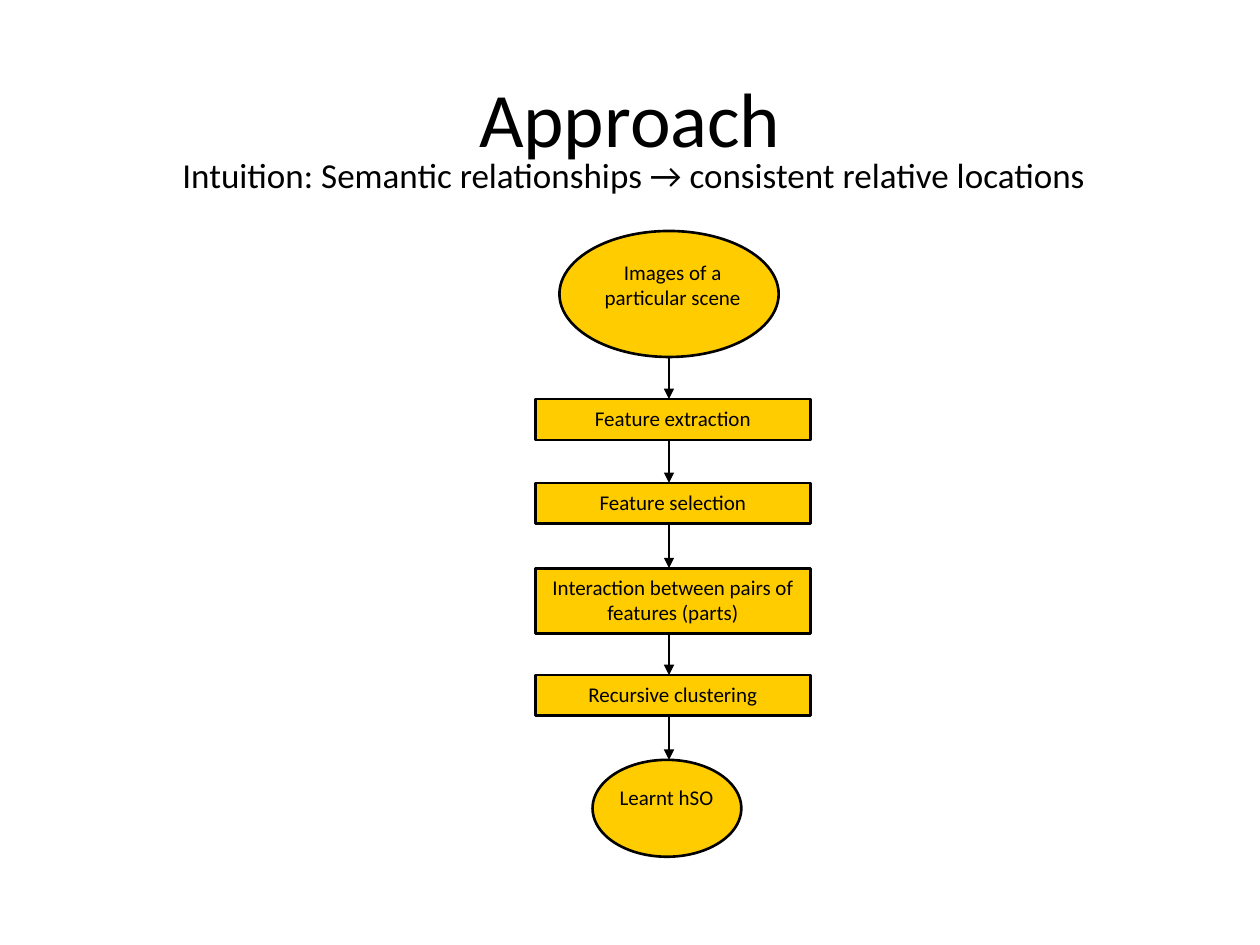
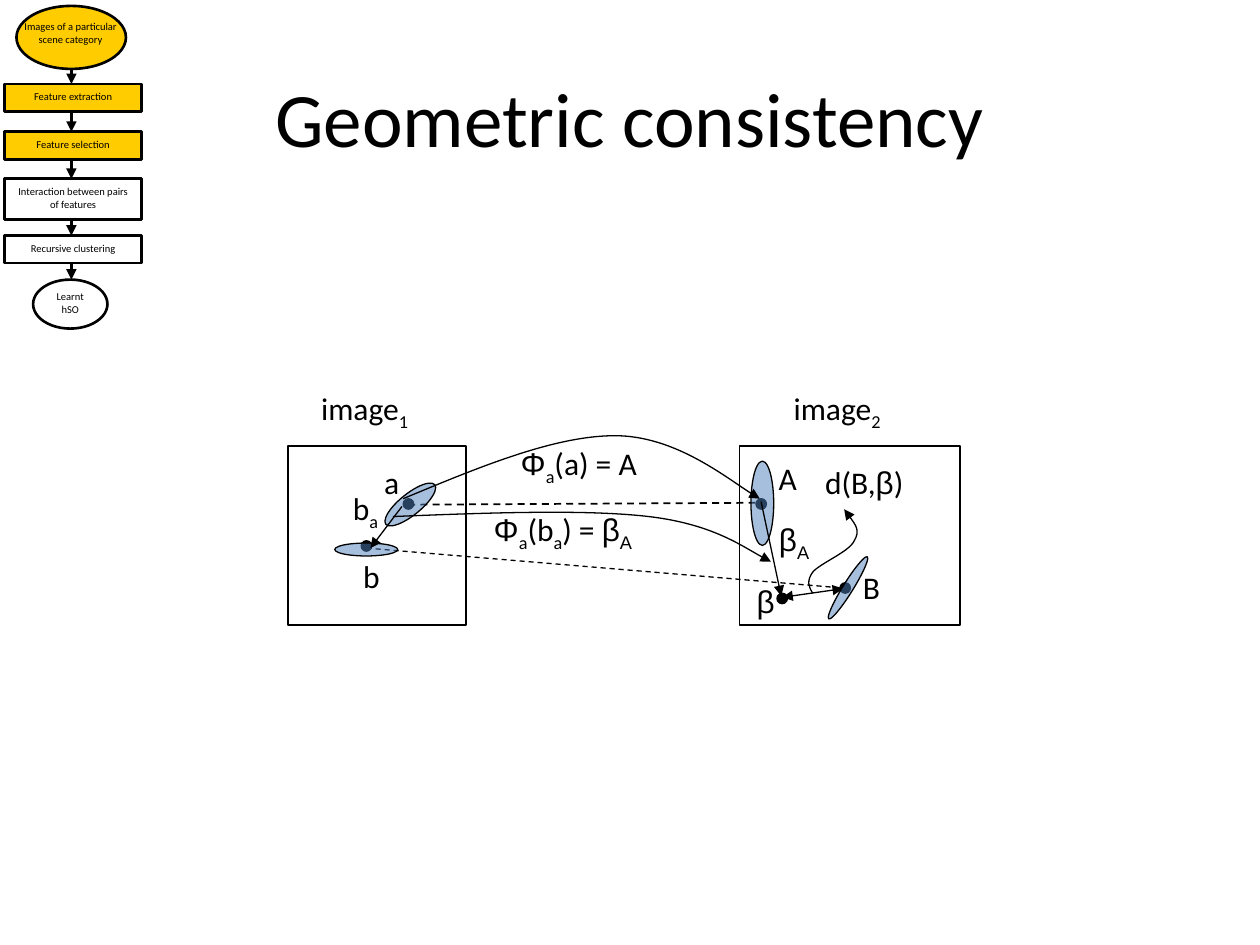
import pptx
import pptx.dml.color
import pptx.enum.dml
import pptx.enum.shapes
import pptx.enum.text
import pptx.oxml.ns
import pptx.util
from lxml import etree

Pt = pptx.util.Pt
qn = pptx.oxml.ns.qn
SHAPES = pptx.enum.shapes.MSO_SHAPE
ALIGN = pptx.enum.text.PP_ALIGN
ANCHOR = pptx.enum.text.MSO_ANCHOR

BLACK = pptx.dml.color.RGBColor(0x00, 0x00, 0x00)
AMBER = pptx.dml.color.RGBColor(0xFF, 0xCC, 0x00)
BLUE = pptx.dml.color.RGBColor(0x4F, 0x81, 0xBD)

BODY_FONT = "Calibri"
GREEK_FONT = "Arial"
GREEK = "ΦβΑ"


def write(frame, text, size=18, align=ALIGN.LEFT, anchor=ANCHOR.TOP):
    """Runs are split by "|"; a run that starts with "_" is a subscript."""
    frame.word_wrap = True
    frame.vertical_anchor = anchor
    paragraph = frame.paragraphs[0]
    paragraph.alignment = align
    for piece in text.split("|"):
        run = paragraph.add_run()
        run.text = piece.lstrip("_")
        run.font.size = Pt(size)
        run.font.color.rgb = BLACK
        run.font.name = GREEK_FONT if run.text[0] in GREEK else BODY_FONT
        if piece.startswith("_"):
            run.font._element.set("baseline", "-25000")


def label(slide, text, box, **text_format):
    write(slide.shapes.add_textbox(*map(Pt, box)).text_frame, text, **text_format)


def title(slide, text):
    label(slide, text, (36, 21.6, 648, 90), size=44,
          align=ALIGN.CENTER, anchor=ANCHOR.MIDDLE)


def outline(line, width):
    line.color.rgb = BLACK
    line.width = Pt(width)


def add_arrowheads(line, *ends):
    for end in ends:
        etree.SubElement(line._get_or_add_ln(), qn("a:" + end), type="triangle")


def figure(slide, kind, box, fill=None, width=0.75, rotation=0, alpha=None):
    shape = slide.shapes.add_shape(kind, *map(Pt, box))
    shape.shadow.inherit = False
    shape.rotation = rotation
    outline(shape.line, width)
    if fill is None:
        shape.fill.background()
    else:
        shape.fill.solid()
        shape.fill.fore_color.rgb = fill
    if alpha:
        color = shape._element.spPr.find(qn("a:solidFill"))[0]
        etree.SubElement(color, qn("a:alpha"), val=str(alpha * 1000))
    return shape


def straight(slide, start, end, width=0.75, dashed=False, ends=()):
    connector = slide.shapes.add_connector(
        pptx.enum.shapes.MSO_CONNECTOR.STRAIGHT, *map(Pt, start + end))
    outline(connector.line, width)
    if dashed:
        connector.line.dash_style = pptx.enum.dml.MSO_LINE.DASH
    add_arrowheads(connector.line, *ends)
    etree.SubElement(connector._element.spPr, qn("a:effectLst"))


def curved_arrow(slide, start, *controls):
    builder = slide.shapes.build_freeform(*map(Pt, start))
    builder.add_line_segments([(Pt(x), Pt(y)) for x, y in controls], close=False)
    curve = builder.convert_to_shape()
    curve.shadow.inherit = False
    curve.fill.background()
    outline(curve.line, 0.75)
    add_arrowheads(curve.line, "tailEnd")
    route = curve._element.find(".//" + qn("a:path"))
    segments = route.findall(qn("a:lnTo"))
    for first in range(0, len(segments), 3):
        bezier = etree.SubElement(route, qn("a:cubicBezTo"))
        for segment in segments[first:first + 3]:
            bezier.append(segment[0])
            route.remove(segment)


def flow(slide, left, width, arrow_x, size, steps, start, end):
    for text, oval, text_box, fill in (start, end):
        figure(slide, SHAPES.OVAL, oval, fill, width=1.5)
        label(slide, text, text_box, size=size, align=ALIGN.CENTER)

    bottom = start[1][1] + start[1][3]
    for text, top, height, fill in steps:
        box = figure(slide, SHAPES.RECTANGLE, (left, top, width, height), fill, width=1.5)
        write(box.text_frame, text, size=size, align=ALIGN.CENTER)
        straight(slide, (arrow_x, bottom), (arrow_x, top), width=1.5, ends=["tailEnd"])
        bottom = top + height
    straight(slide, (arrow_x, bottom), (arrow_x, end[1][1]), width=1.5, ends=["tailEnd"])


def build_approach(slide):
    title(slide, "Approach")
    flow(slide, left=306, width=157, arrow_x=382.3, size=12,
         steps=[("Feature extraction", 228, 23.4, AMBER),
                ("Feature selection", 276, 23, AMBER),
                ("Interaction between pairs of features (parts)", 324.7, 37.4, AMBER),
                ("Recursive clustering", 385.8, 23.2, AMBER)],
         start=("Images of a particular scene", (319.7, 132, 125.3, 72),
                (328.6, 144.7, 111.6, 36), AMBER),
         end=("Learnt hSO", (338.6, 434.2, 85, 55.4), (345.2, 445, 71.3, 36), AMBER))
    label(slide, "Intuition: Semantic relationships → consistent relative locations",
          (97.2, 84.2, 620, 31), size=20)


def build_consistency(slide):
    title(slide, "Geometric consistency")

    for frame in [(164.4, 254.9, 102, 102.2), (422.6, 254.9, 126, 102.2)]:
        figure(slide, SHAPES.RECTANGLE, frame, width=1)

    for x, y in [(230.4, 285), (206.4, 309), (432, 285), (480, 333), (444, 339)]:
        figure(slide, SHAPES.OVAL, (x, y, 6, 6), BLACK)

    straight(slide, (233.3, 288.4), (434.2, 287.3), width=1, dashed=True)
    straight(slide, (209.5, 313.2), (483.8, 336.2), dashed=True)
    straight(slide, (447.1, 341.3), (481.7, 336.4), ends=["headEnd", "tailEnd"])

    for region, rotation in [((216.5, 282.2, 36, 12.2), 321.1),
                             ((429.1, 263.5, 13, 48.2), 0),
                             ((191.3, 310.3, 36, 7.4), 0),
                             ((463.7, 333, 41.8, 5.8), 301.8)]:
        figure(slide, SHAPES.OVAL, region, BLUE, rotation=rotation, alpha=50)

    straight(slide, (229.7, 289.4), (211.7, 313.2), ends=["tailEnd"])
    straight(slide, (434.9, 286.6), (446.4, 340.6), ends=["tailEnd"])

    curved_arrow(slide, (230.4, 285), (273.6, 267), (316.8, 249), (351.4, 249),
                 (385.2, 249), (420.5, 277.2), (434.2, 285))
    curved_arrow(slide, (224.6, 295.2), (279.4, 293), (334.8, 291), (370.8, 295.2),
                 (406.8, 299.5), (429, 315.4), (440.6, 321))
    curved_arrow(slide, (464.4, 339), (462.2, 335.5), (460.8, 332), (464.4, 327),
                 (468.7, 321.8), (485.3, 315.4), (488.2, 309),
                 (491.8, 303), (486.7, 296.6), (482.4, 291))

    for text, x, y, width in [
            ("image|_1", 176.4, 218.9, 77.8),
            ("image|_2", 446.4, 218.9, 77.8),
            ("a", 212.4, 261, 30.2),
            ("b", 200.4, 315, 30.2),
            ("b|_a", 194.6, 275.8, 48.2),
            ("A", 437.8, 258.7, 30.2),
            ("B", 486, 321, 30.2),
            ("β|_Α", 438, 293.8, 51.8),
            ("β", 425.3, 329, 20.2),
            ("d(B,|β|)", 464.4, 261, 108),
            ("Φ|_a|(a) = A", 290.4, 250.2, 126),
            ("Φ|_a|(b|_a|) = |β|_Α", 275, 288, 159)]:
        label(slide, text, (x, y, width, 28.8))

    flow(slide, left=2.5, width=78.5, arrow_x=40.8, size=6,
         steps=[("Feature extraction", 48, 15.8, AMBER),
                ("Feature selection", 75.3, 15.8, AMBER),
                ("Interaction between pairs of features", 102.2, 23.2, None),
                ("Recursive clustering", 134.6, 15.8, None)],
         start=("Images of a particular scene category", (9.4, 3.4, 62.6, 36),
                (4.3, 7.9, 72, 28.8), AMBER),
         end=("Learnt hSO", (18.9, 159.8, 42.5, 28), (22.1, 162.4, 36, 21.6), None))


def main():
    deck = pptx.Presentation()
    deck.slide_width, deck.slide_height = Pt(720), Pt(540)
    for build in (build_approach, build_consistency):
        build(deck.slides.add_slide(deck.slide_layouts[6]))
    deck.save("out.pptx")


if __name__ == "__main__":
    main()
